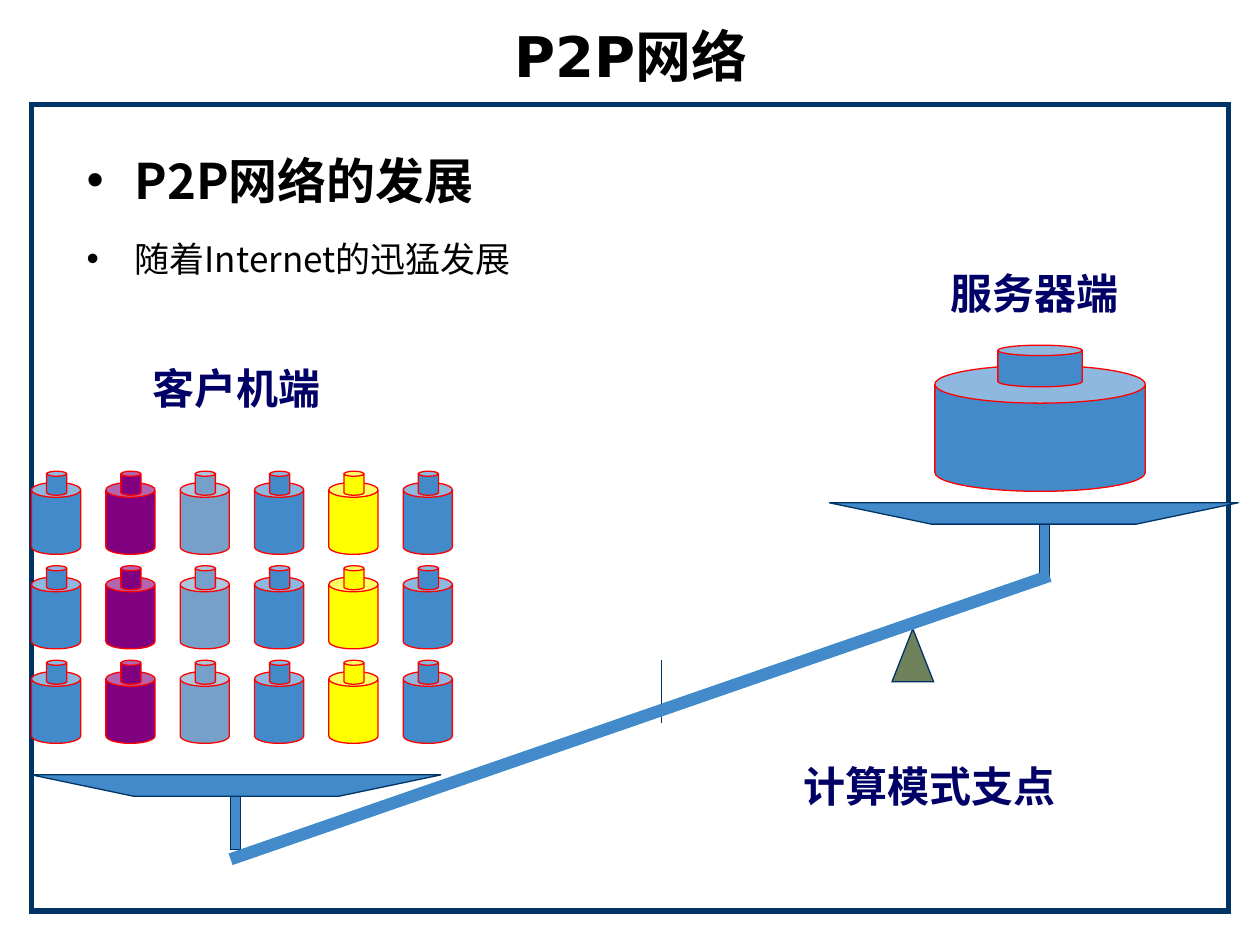
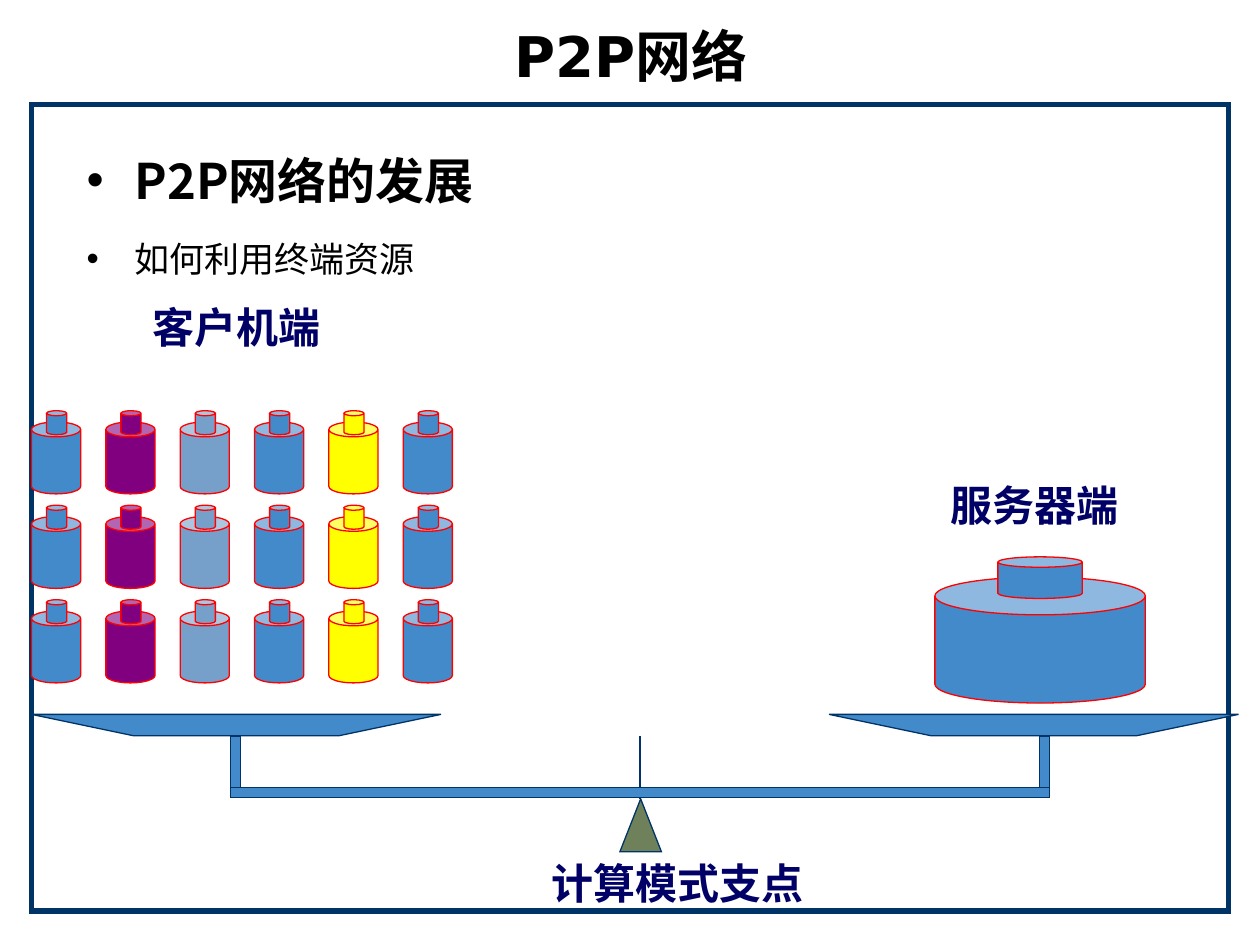
"""Two slides that weigh client machines against a server on a balance."""
from lxml.etree import SubElement
from pptx import Presentation
from pptx.dml.color import RGBColor
from pptx.enum.shapes import MSO_CONNECTOR, MSO_SHAPE as Preset
from pptx.enum.text import MSO_ANCHOR as Anchor, PP_ALIGN as Align
from pptx.oxml.ns import qn
from pptx.util import Inches, Pt

COLORS = {"ink": "000000", "paper": "FFFFFF", "navy": "003366", "label": "000066",
          "blue": "438ACB", "pale": "76A0CA", "purple": "800080", "yellow": "FFFF00",
          "olive": "6E815B", "red": "FF0000"}
CJK_FONT = "Noto Sans CJK SC"
TITLE = "P2P网络"
HEADING = "P2P网络的发展"
CLIENTS, SERVER, PIVOT = "客户机端", "服务器端", "计算模式支点"

SLIDES = [
    {"point": "随着Internet的迅猛发展", "left_pan": 6.15, "right_pan": 3.99, "tilted": True,
     "pivot": (7.08, 4.99), "pivot_label": (7.38, 5.9), "needle": (5.25, 5.24)},
    {"point": "如何利用终端资源", "left_pan": 5.67, "right_pan": 5.67, "tilted": False,
     "pivot": (4.92, 6.34), "pivot_label": (5.38, 6.67), "needle": (5.08, 5.84)},
]

CLIENT_COLORS = ["blue", "purple", "pale", "blue", "yellow", "blue"]
CLIENT_ROWS = 3
COLUMN_STEP, ROW_STEP = 0.59, 0.75
LEFT_X, RIGHT_X = 0.25, 6.58
PAN_WIDTH, PAN_HEIGHT = 3.25, 0.17
POST_WIDTH, POST_HEIGHT = 0.08, 0.42
BEAM_START, BEAM_END = 1.83, 8.33
LABEL_WIDTH, LABEL_HEIGHT = 2.6, 0.67


def color(name):
    return RGBColor.from_string(COLORS[name])


def paint(shape, fill, line="navy", width=0.75):
    shape.shadow.inherit = False
    shape.fill.solid()
    shape.fill.fore_color.rgb = color(fill)
    shape.line.color.rgb = color(line)
    shape.line.width = Pt(width)
    SubElement(shape._element.spPr.find(qn("a:ln")), qn("a:miter"), lim="800000")


def add_preset(shapes, preset, place, fill, line="navy", width=0.75):
    shape = shapes.add_shape(preset, *map(Inches, place))
    paint(shape, fill, line, width)
    return shape


def format_text(para, font, size, bold=True, ink="ink"):
    for span in para.runs:
        span.font.name, span.font.size, span.font.bold = font, Pt(size), bold
        span.font.color.rgb = color(ink)
        SubElement(span.font._element, qn("a:ea"), typeface=CJK_FONT)


def add_title(page):
    title = page.shapes.title
    title.left, title.top, title.width, title.height = map(Inches, (0.27, 0.13, 9.48, 0.62))
    title.text_frame.text = TITLE
    title.text_frame.vertical_anchor = Anchor.MIDDLE
    para = title.text_frame.paragraphs[0]
    para.alignment = Align.CENTER
    format_text(para, "DejaVu Sans", 32)


def add_bullets(page, point):
    frame = page.shapes.add_textbox(*map(Inches, (0.59, 0.91, 9, 5.99))).text_frame
    frame.word_wrap = True
    frame.text = f"{HEADING}\n{point}"
    for para, size, bold, gap in zip(frame.paragraphs, (28, 20), (True, False), (0, 4)):
        para.line_spacing = 1.5
        para.space_before = Pt(gap)
        format_text(para, CJK_FONT, size, bold)
        properties = para._p.get_or_add_pPr()
        properties.set("marL", str(Inches(0.38)))
        properties.set("indent", str(-Inches(0.38)))
        SubElement(properties, qn("a:buFont"), typeface="Arial")
        SubElement(properties, qn("a:buChar"), char="•")


def add_label(page, text, center, top):
    place = (center - LABEL_WIDTH / 2, top, LABEL_WIDTH, LABEL_HEIGHT)
    frame = page.shapes.add_textbox(*map(Inches, place)).text_frame
    frame.text = text
    frame.word_wrap = False
    frame.vertical_anchor = Anchor.MIDDLE
    frame.paragraphs[0].alignment = Align.CENTER
    format_text(frame.paragraphs[0], "Times New Roman", 24, ink="label")


def add_line(page, start, end, ink, width):
    line = page.shapes.add_connector(MSO_CONNECTOR.STRAIGHT, *map(Inches, (*start, *end)))
    line.line.color.rgb = color(ink)
    line.line.width = Pt(width)
    SubElement(line._element.spPr, qn("a:effectLst"))


def add_machine(group, body, head, fill):
    for place, depth in ((body, 0.3), (head, 0.25)):
        can = add_preset(group.shapes, Preset.CAN, place, fill, "red")
        can.adjustments[0] = depth


def add_pan(page, left, top, post_left):
    post_top = top + PAN_HEIGHT
    add_preset(page.shapes, Preset.RECTANGLE,
               (post_left, post_top, POST_WIDTH, POST_HEIGHT), "blue")
    corners = [(Inches(left + PAN_WIDTH * across), Inches(top + PAN_HEIGHT * down))
               for across, down in ((0, 0), (0.25, 1), (0.75, 1), (1, 0))]
    builder = page.shapes.build_freeform(*corners[0])
    builder.add_line_segments(corners[1:], close=True)
    paint(builder.convert_to_shape(), "blue")


def add_clients(page, pan):
    for row in range(CLIENT_ROWS):
        group = page.shapes.add_group_shape()
        top = pan - 0.91 - row * ROW_STEP
        for column, fill in enumerate(CLIENT_COLORS):
            left = LEFT_X + column * COLUMN_STEP
            add_machine(group, (left, top + 0.09, 0.39, 0.57),
                        (left + 0.12, top, 0.16, 0.19), fill)
    add_label(page, CLIENTS, 1.88, pan - 3.41)


def add_server(page, pan):
    add_machine(page.shapes.add_group_shape(), (7.42, pan - 1.09, 1.67, 1),
                (7.92, pan - 1.25, 0.67, 0.33), "blue")
    add_label(page, SERVER, 8.21, pan - 2)


def add_balance(page, scene):
    left_pan, right_pan = scene["left_pan"], scene["right_pan"]
    add_pan(page, LEFT_X, left_pan, BEAM_START)
    add_pan(page, RIGHT_X, right_pan, BEAM_END - POST_WIDTH)
    add_preset(page.shapes, Preset.ISOSCELES_TRIANGLE, (*scene["pivot"], 0.33, 0.42), "olive")
    x, y = scene["needle"]
    add_line(page, (x, y), (x, y + 0.5), "navy", 0.75)
    add_label(page, PIVOT, *scene["pivot_label"])
    if scene["tilted"]:
        add_line(page, (BEAM_START, left_pan + 0.67), (BEAM_END, right_pan + 0.58), "blue", 7)
    else:
        add_preset(page.shapes, Preset.RECTANGLE,
                   (BEAM_START, left_pan + 0.58, BEAM_END - BEAM_START, POST_WIDTH), "blue")


def main():
    deck = Presentation()
    deck.slide_width, deck.slide_height = Inches(10), Inches(7.5)
    for scene in SLIDES:
        page = deck.slides.add_slide(deck.slide_layouts[5])
        add_preset(page.shapes, Preset.RECTANGLE, (0.25, 0.83, 9.5, 6.4), "paper", width=3)
        add_title(page)
        add_bullets(page, scene["point"])
        add_clients(page, scene["left_pan"])
        add_server(page, scene["right_pan"])
        add_balance(page, scene)
    deck.save("out.pptx")


if __name__ == "__main__":
    main()
